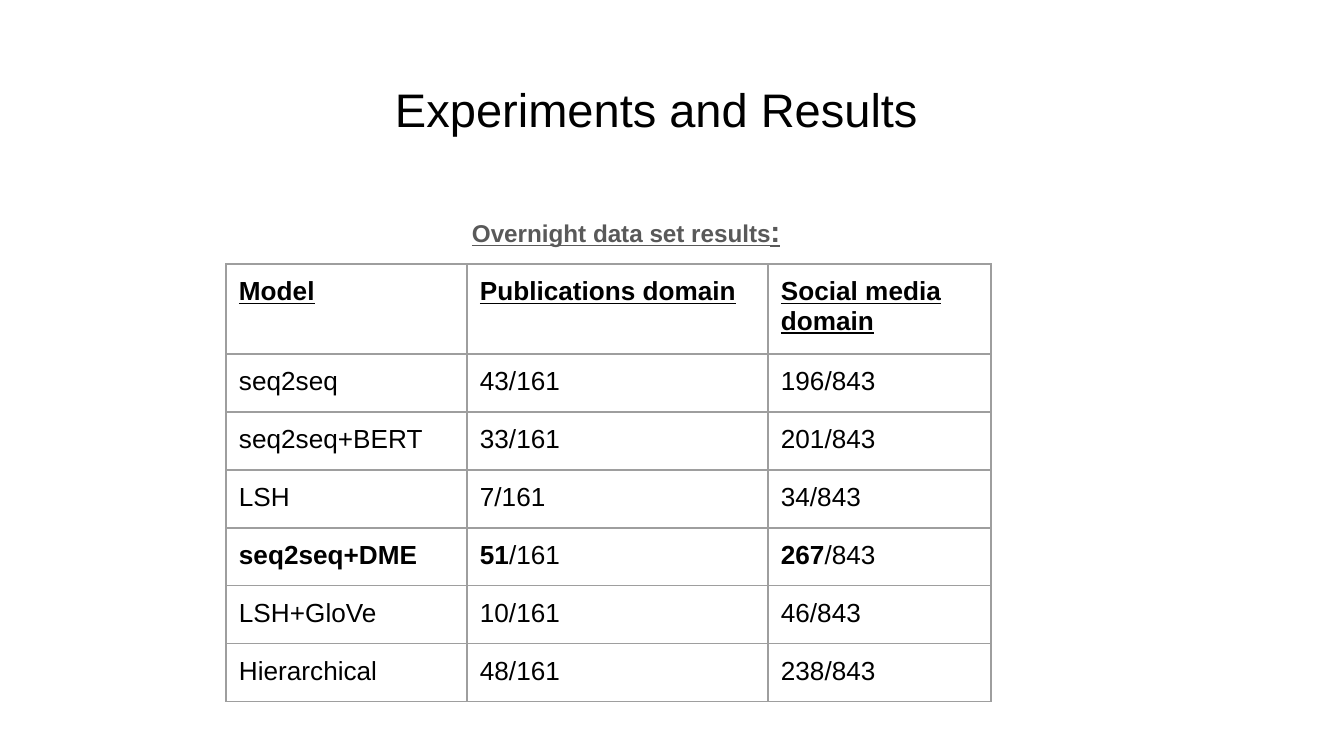
import pptx
import pptx.util
import pptx.dml.color
import pptx.enum.text
import pptx.oxml.ns
import lxml.etree

SCALE = 914400 / 134.4


def px(length):
    return pptx.util.Emu(round(length * SCALE))


def add_text(paragraph, text, size=14, color="000000", bold=False, underline=False):
    run = paragraph.add_run()
    run.text = text
    run.font.name = "Arial"
    run.font.size = pptx.util.Pt(size)
    run.font.bold = bold
    run.font.underline = underline
    run.font.color.rgb = pptx.dml.color.RGBColor.from_string(color)


deck = pptx.Presentation()
deck.slide_width, deck.slide_height = px(1344), px(756)
slide = deck.slides.add_slide(deck.slide_layouts[5])

title = slide.shapes.title
title.left, title.top, title.width, title.height = px(46), px(66), px(1252), px(85)
heading = title.text_frame
heading.auto_size = pptx.enum.text.MSO_AUTO_SIZE.NONE
heading.vertical_anchor = pptx.enum.text.MSO_ANCHOR.MIDDLE
heading.margin_left = px(349)
heading.margin_top = heading.margin_right = heading.margin_bottom = px(13)
heading.paragraphs[0].alignment = pptx.enum.text.PP_ALIGN.LEFT
add_text(heading.paragraphs[0], "Experiments and Results", size=25.2)

caption = slide.shapes.add_textbox(px(472), px(213), px(520), px(40)).text_frame
caption.word_wrap = True
caption.margin_left = caption.margin_top = caption.margin_right = caption.margin_bottom = 0
for text, size in (("Overnight data set results", 13), (":", 16)):
    add_text(caption.paragraphs[0], text, size=size, color="595959", bold=True, underline=True)

header = ("Model", "Publications domain", "Social media domain")
scores = [
    ("seq2seq", 43, 196),
    ("seq2seq+BERT", 33, 201),
    ("LSH", 7, 34),
    ("seq2seq+DME", 51, 267),
    ("LSH+GloVe", 10, 46),
    ("Hierarchical", 48, 238),
]
totals = (161, 843)
best_model = "seq2seq+DME"
column_widths = (241, 301, 223)
row_heights = [90] + [58] * len(scores)

results = slide.shapes.add_table(
    len(row_heights), len(column_widths), px(226), px(264),
    px(sum(column_widths)), px(sum(row_heights))).table
results.first_row = False
results.horz_banding = False
for column, width in zip(results.columns, column_widths):
    column.width = px(width)
for row, height in zip(results.rows, row_heights):
    row.height = px(height)

for cell in results.iter_cells():
    cell.margin_left = cell.margin_right = cell.margin_top = cell.margin_bottom = px(13)
    properties = cell._tc.get_or_add_tcPr()
    for side in ("lnL", "lnR", "lnT", "lnB"):
        border = lxml.etree.SubElement(
            properties, pptx.oxml.ns.qn("a:" + side), w=str(pptx.util.Pt(0.75)))
        ink = lxml.etree.SubElement(border, pptx.oxml.ns.qn("a:solidFill"))
        lxml.etree.SubElement(ink, pptx.oxml.ns.qn("a:srgbClr"), val="9E9E9E")
    cell.fill.background()

for column, label in enumerate(header):
    add_text(results.cell(0, column).text_frame.paragraphs[0], label, bold=True, underline=True)

for row, (model, *correct) in enumerate(scores, start=1):
    best = model == best_model
    add_text(results.cell(row, 0).text_frame.paragraphs[0], model, bold=best)
    for column, (count, total) in enumerate(zip(correct, totals), start=1):
        score = results.cell(row, column).text_frame.paragraphs[0]
        add_text(score, str(count), bold=best)
        add_text(score, f"/{total}")

deck.save("out.pptx")
